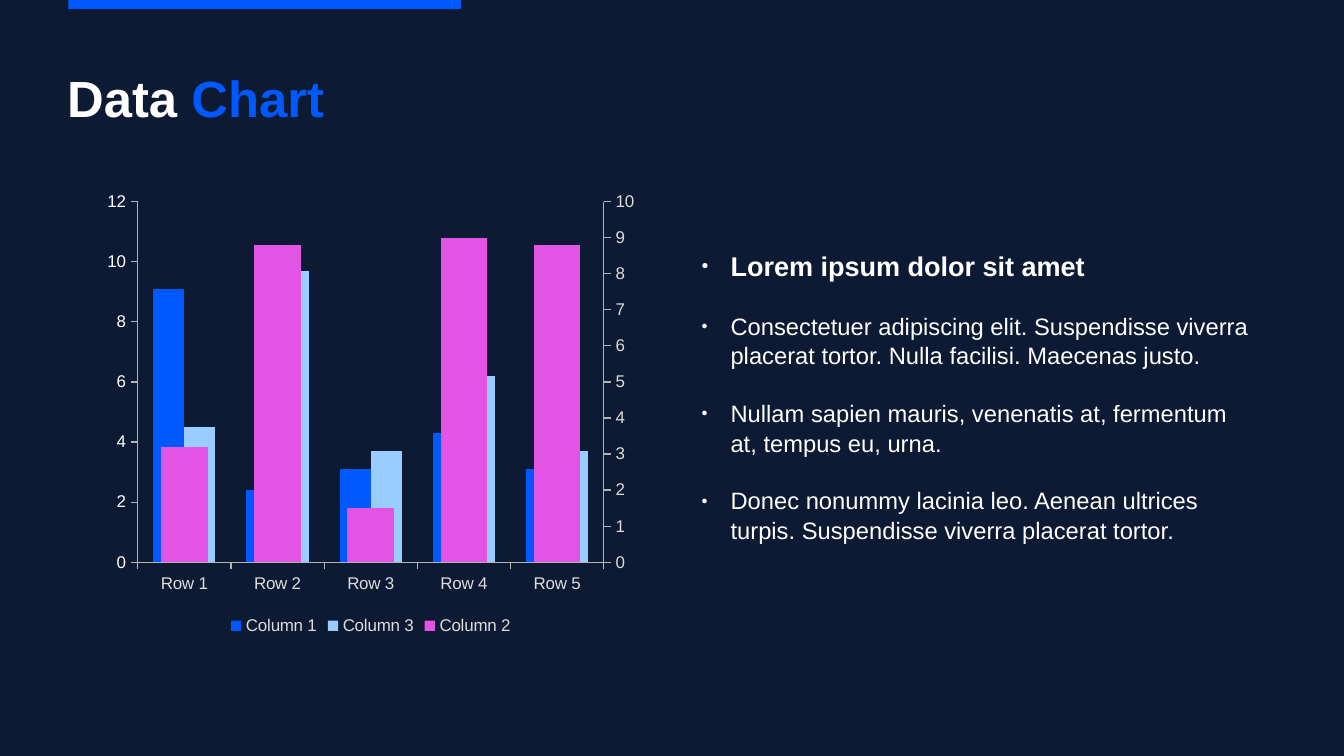
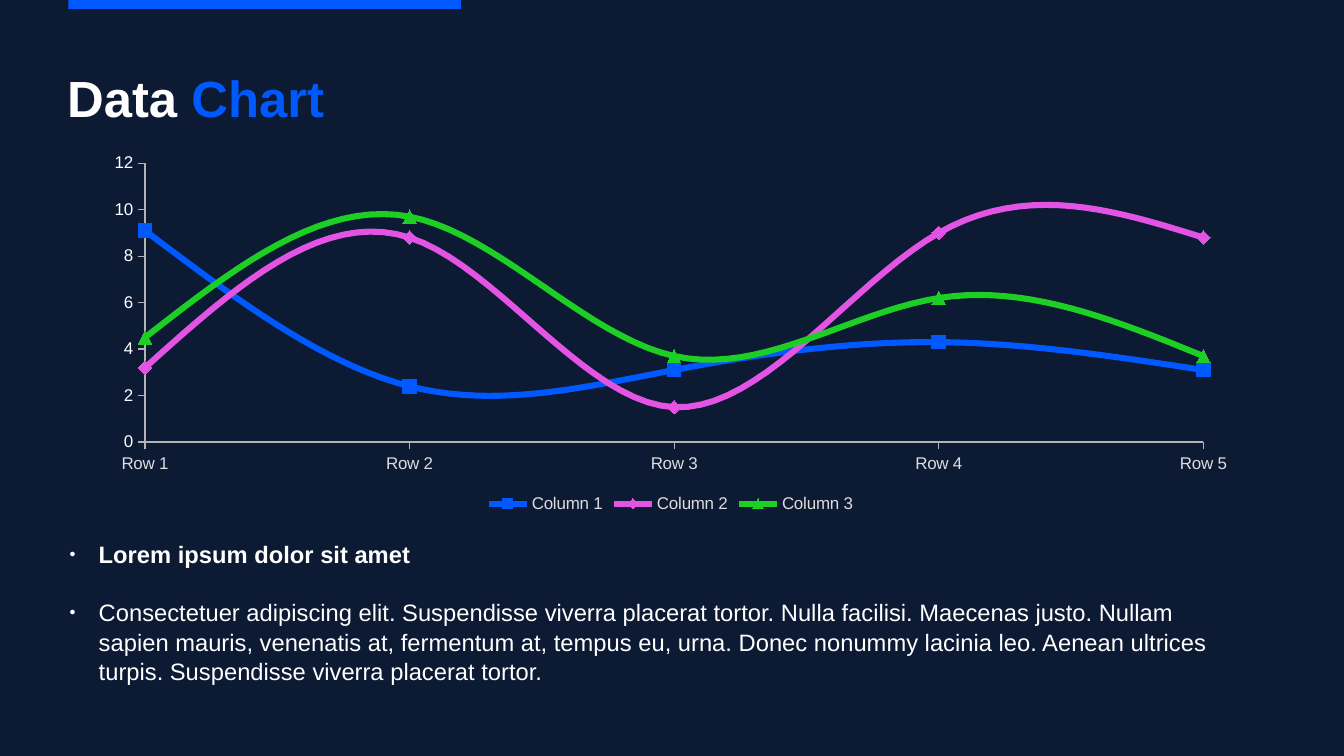
import copy
import pptx
import pptx.chart.axis
import pptx.chart.data
import pptx.dml.color
import pptx.enum.chart
import pptx.enum.shapes
import pptx.enum.text
import pptx.oxml
import pptx.oxml.ns
import pptx.util

Pt = pptx.util.Pt
qn = pptx.oxml.ns.qn
RGBColor = pptx.dml.color.RGBColor
ChartType = pptx.enum.chart.XL_CHART_TYPE
Marker = pptx.enum.chart.XL_MARKER_STYLE
Anchor = pptx.enum.text.MSO_ANCHOR

NAVY = RGBColor(0x0C, 0x1A, 0x33)
BLUE = RGBColor(0x00, 0x59, 0xFF)
SKY = RGBColor(0x99, 0xCC, 0xFF)
PINK = RGBColor(0xE4, 0x54, 0xE4)
GREEN = RGBColor(0x1D, 0xCF, 0x25)
WHITE = RGBColor(0xFF, 0xFF, 0xFF)
PALE = RGBColor(0xDD, 0xDD, 0xDD)
GREY = RGBColor(0xB3, 0xB3, 0xB3)
FONT = "Arial"

ROWS = ["Row 1", "Row 2", "Row 3", "Row 4", "Row 5"]
COLUMNS = {
    "Column 1": [9.1, 2.4, 3.1, 4.3, 3.1],
    "Column 2": [3.2, 8.8, 1.5, 9, 8.8],
    "Column 3": [4.5, 9.7, 3.7, 6.2, 3.7],
}
HEADING = "Lorem ipsum dolor sit amet"
SENTENCES = [
    "Consectetuer adipiscing elit. Suspendisse viverra placerat tortor. Nulla facilisi. Maecenas justo.",
    "Nullam sapien mauris, venenatis at, fermentum at, tempus eu, urna.",
    "Donec nonummy lacinia leo. Aenean ultrices turpis. Suspendisse viverra placerat tortor.",
]


def style_font(font, size, color, bold=False):
    """Apply the deck typeface with a size, colour and weight."""
    font.name = FONT
    font.size = Pt(size)
    font.bold = bold
    font.color.rgb = color


def add_text(paragraph, text, size=14, color=WHITE, bold=False):
    """Append a formatted run to a paragraph."""
    run = paragraph.add_run()
    run.text = text
    style_font(run.font, size, color, bold)


def place(part, box):
    """Move a part to a box of left, top, width and height in points."""
    part.left, part.top, part.width, part.height = map(Pt, box)


def prepare_frame(frame, anchor, top_inset=0):
    """Clear the insets of a text frame and fix its wrapping and anchor."""
    frame.margin_left = frame.margin_right = frame.margin_bottom = 0
    frame.margin_top = Pt(top_inset)
    frame.word_wrap = True
    frame.auto_size = pptx.enum.text.MSO_AUTO_SIZE.NONE
    frame.vertical_anchor = anchor


def style_master(deck, layout):
    """Set the shared background, top band and title position."""
    background = deck.slide_master.background.fill
    background.solid()
    background.fore_color.rgb = NAVY
    title = layout.placeholders[0]
    place(title, (39.6, 36, 713.5, 54))
    prepare_frame(title.text_frame, Anchor.TOP, 3.5)
    title.text_frame.paragraphs[0].alignment = pptx.enum.text.PP_ALIGN.LEFT


def add_band(slide, master):
    """Draw the blue top band and move it to the master."""
    band = slide.shapes.add_shape(
        pptx.enum.shapes.MSO_SHAPE.RECTANGLE, Pt(40.3), 0, Pt(231.8), Pt(5.4))
    band.shadow.inherit = False
    band.fill.solid()
    band.fill.fore_color.rgb = BLUE
    band.line.fill.background()
    master.shapes.element.append(band.element)


def add_titled_slide(deck, layout):
    """Add a slide with the two-colour title."""
    slide = deck.slides.add_slide(layout)
    heading = slide.shapes.title.text_frame.paragraphs[0]
    heading.alignment = pptx.enum.text.PP_ALIGN.LEFT
    add_text(heading, "Data ", size=30, bold=True)
    add_text(heading, "Chart", size=30, color=BLUE, bold=True)
    return slide


def add_bullet(paragraph):
    """Give a paragraph a small white bullet with a hanging indent."""
    properties = paragraph._p.get_or_add_pPr()
    properties.set("marL", str(Pt(17.3)))
    properties.set("indent", str(-Pt(17.3)))
    for tag, value in (("buSzPct", "45000"), ("buChar", "●")):
        bullet = properties.makeelement(qn("a:" + tag), {})
        bullet.set("char" if tag == "buChar" else "val", value)
        properties.append(bullet)
    bullet_color = properties.makeelement(qn("a:buClr"), {})
    color = bullet_color.makeelement(qn("a:srgbClr"), {"val": str(WHITE)})
    bullet_color.append(color)
    properties.insert(0, bullet_color)


def fill_list(slide, box, items, heading_size=14, anchor=Anchor.TOP):
    """Fill the body placeholder with a bold heading and plain items."""
    body = slide.placeholders[1]
    place(body, box)
    frame = body.text_frame
    prepare_frame(frame, anchor)
    for index, text in enumerate([HEADING] + items):
        paragraph = frame.add_paragraph() if index else frame.paragraphs[0]
        add_bullet(paragraph)
        paragraph.line_spacing = 1.04
        paragraph.space_before = Pt(16.7 if index else 0)
        add_text(paragraph, text, size=14 if index else heading_size, bold=not index)


def style_axis(axis, color):
    """Give an axis a hairline, outer ticks and coloured labels."""
    axis.has_major_gridlines = False
    axis.major_tick_mark = pptx.enum.chart.XL_TICK_MARK.OUTSIDE
    axis.minor_tick_mark = pptx.enum.chart.XL_TICK_MARK.NONE
    axis.format.line.color.rgb = GREY
    axis.format.line.width = Pt(0)
    style_font(axis.tick_labels.font, 10, color)


def scale_axis(axis, maximum, step):
    """Run a value axis from zero to a maximum in even steps."""
    axis.minimum_scale = 0
    axis.maximum_scale = maximum
    axis.major_unit = step


def add_data_chart(slide, box, kind, names):
    """Add a chart of the named columns with shared axes and legend."""
    data = pptx.chart.data.CategoryChartData()
    data.categories = ROWS
    for name in names:
        data.add_series(name, COLUMNS[name])
    chart = slide.shapes.add_chart(kind, *map(Pt, box), data).chart
    chart.has_title = False
    style_font(chart.font, 10, PALE)
    chart.has_legend = True
    chart.legend.position = pptx.enum.chart.XL_LEGEND_POSITION.BOTTOM
    chart.legend.include_in_layout = False
    style_font(chart.legend.font, 10, PALE)
    style_axis(chart.category_axis, PALE)
    style_axis(chart.value_axis, WHITE)
    scale_axis(chart.value_axis, 12, 2)
    chart.plots[0].vary_by_categories = False
    return chart


def move_last_to_right_axis(chart):
    """Plot the last series against a second value axis on the right."""
    plot_area = chart.element.find(".//" + qn("c:plotArea"))
    left_bars = plot_area.find(qn("c:barChart"))
    right_bars = copy.deepcopy(left_bars)
    left_bars.remove(left_bars.findall(qn("c:ser"))[-1])
    for series in right_bars.findall(qn("c:ser"))[:-1]:
        right_bars.remove(series)
    left_bars.addnext(right_bars)

    rows = copy.deepcopy(plot_area.find(qn("c:catAx")))
    values = copy.deepcopy(plot_area.find(qn("c:valAx")))
    row_id, value_id = "50010", "50020"
    for reference, identifier in zip(right_bars.findall(qn("c:axId")), (row_id, value_id)):
        reference.set("val", identifier)
    for axis, own, other in ((rows, row_id, value_id), (values, value_id, row_id)):
        axis.find(qn("c:axId")).set("val", own)
        axis.find(qn("c:crossAx")).set("val", other)
    rows.find(qn("c:delete")).set("val", "1")
    values.find(qn("c:axPos")).set("val", "r")
    values.find(qn("c:crosses")).set("val", "max")
    last_axis = plot_area.findall(qn("c:valAx"))[-1]
    last_axis.addnext(rows)
    rows.addnext(values)
    right_axis = pptx.chart.axis.ValueAxis(values)
    style_axis(right_axis, PALE)
    scale_axis(right_axis, 10, 1)


def add_column_chart(slide, box):
    """Add the clustered columns with two value axes."""
    chart = add_data_chart(
        slide, box, ChartType.COLUMN_CLUSTERED, ["Column 1", "Column 3", "Column 2"])
    bars = chart.plots[0]
    bars.gap_width = 100
    bars.overlap = 0
    for series, color in zip(bars.series, (BLUE, SKY, PINK)):
        series.format.fill.solid()
        series.format.fill.fore_color.rgb = color
        series.invert_if_negative = False
    move_last_to_right_axis(chart)


def add_line_chart(slide, box):
    """Add the smooth lines with markers, starting on the value axis."""
    chart = add_data_chart(slide, box, ChartType.LINE_MARKERS, list(COLUMNS))
    looks = ((BLUE, Marker.SQUARE), (PINK, Marker.DIAMOND), (GREEN, Marker.TRIANGLE))
    for series, (color, marker) in zip(chart.plots[0].series, looks):
        series.smooth = True
        series.format.line.color.rgb = color
        series.format.line.width = Pt(3.6)
        series.marker.style = marker
        series.marker.size = 8
        series.marker.format.fill.solid()
        series.marker.format.fill.fore_color.rgb = color
        series.marker.format.line.color.rgb = color
    values = chart.element.find(".//" + qn("c:valAx"))
    crossing = values.find(qn("c:crossBetween"))
    if crossing is None:
        crossing = values.makeelement(qn("c:crossBetween"), {})
        values.find(qn("c:crosses")).addnext(crossing)
    crossing.set("val", "midCat")


def build_column_slide(deck, layout):
    """Build the slide with columns beside a list."""
    slide = add_titled_slide(deck, layout)
    add_column_chart(slide, (56.9, 108, 324, 270))
    fill_list(slide, (414, 90, 324, 288), SENTENCES, heading_size=16, anchor=Anchor.MIDDLE)
    return slide


def build_line_slide(deck, layout):
    """Build the slide with lines above a list."""
    slide = add_titled_slide(deck, layout)
    add_line_chart(slide, (54, 86.4, 684, 219.6))
    fill_list(slide, (41, 318.2, 697, 90), [" ".join(SENTENCES)])


def main():
    """Build and save the deck."""
    deck = pptx.Presentation()
    deck.slide_width, deck.slide_height = Pt(793.44), Pt(446.4)
    layout = deck.slide_layouts[1]
    style_master(deck, layout)
    first = build_column_slide(deck, layout)
    add_band(first, deck.slide_master)
    build_line_slide(deck, layout)
    deck.save("out.pptx")


if __name__ == "__main__":
    main()
